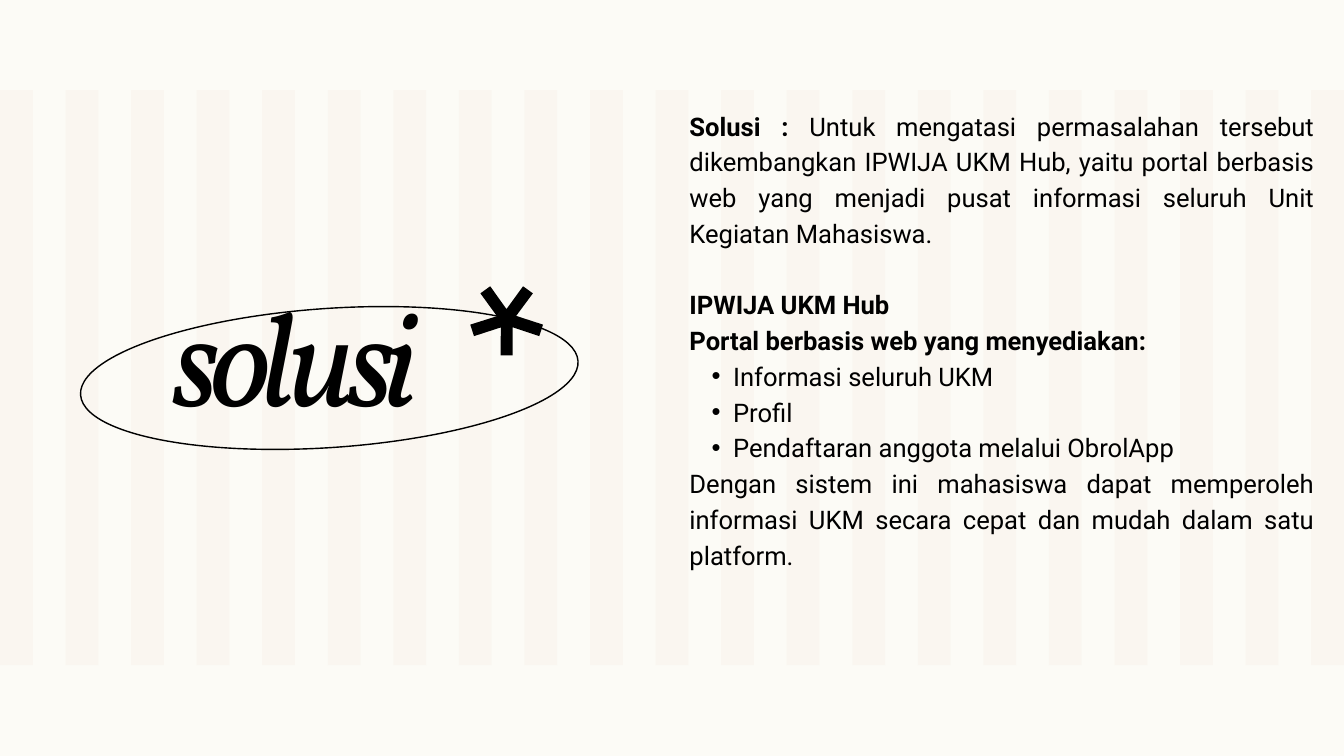
import math

import pptx
import pptx.dml.color
import pptx.enum.shapes
import pptx.enum.text
import pptx.util
from lxml import etree
from pptx.oxml.ns import qn

CREAM = pptx.dml.color.RGBColor(0xFC, 0xFB, 0xF6)
STRIPE = pptx.dml.color.RGBColor(0xF8, 0xF2, 0xE9)
BLACK = pptx.dml.color.RGBColor(0, 0, 0)
SHAPES = pptx.enum.shapes.MSO_SHAPE
Inches = pptx.util.Inches
Pt = pptx.util.Pt

presentation = pptx.Presentation()
presentation.slide_width = Inches(20)
presentation.slide_height = Inches(11.25)
slide = presentation.slides.add_slide(presentation.slide_layouts[6])
slide.background.fill.solid()
slide.background.fill.fore_color.rgb = CREAM


def add_text_frame(left, top, width, height):
    box = slide.shapes.add_textbox(Inches(left), Inches(top), Inches(width), Inches(height))
    frame = box.text_frame
    frame.word_wrap = True
    frame.margin_left = frame.margin_right = frame.margin_top = frame.margin_bottom = 0
    return frame


# Striped band: 41 equal columns, every other one tinted
COLUMNS = 41
column = presentation.slide_width / COLUMNS
for index in range(0, COLUMNS, 2):
    stripe = slide.shapes.add_shape(
        SHAPES.RECTANGLE, round(index * column), Inches(1.34), round(column), Inches(8.56))
    stripe.shadow.inherit = False
    stripe.line.fill.background()
    stripe.fill.solid()
    stripe.fill.fore_color.rgb = STRIPE
    color = stripe.fill._xPr.find(qn("a:solidFill"))[0]
    etree.SubElement(color, qn("a:alpha"), val="46000")

# Title
paragraph = add_text_frame(2.56, 4.86, 9.9, 1.77).paragraphs[0]
paragraph.line_spacing = Pt(113.7)
run = paragraph.add_run()
run.text = "solusi"
run.font.name = "Vollkorn"
run.font.size = Pt(142.1)
run.font.italic = True
run.font.color.rgb = BLACK
run.font._element.set("spc", "-910")

# Tilted ring around the title
ring = slide.shapes.add_shape(
    SHAPES.OVAL, Inches(1.19), Inches(4.59), Inches(7.42), Inches(2.07))
ring.rotation = 356.1
ring.shadow.inherit = False
ring.fill.background()
ring.line.color.rgb = BLACK
ring.line.width = Pt(1.5)

# Five-armed asterisk: two outer corners and one inner notch per arm
CENTER_X, CENTER_Y = 7.54, 4.75
points = []
for arm in range(5):
    angle = math.radians(72 * arm)
    for x, y in ((-0.09, 0.54), (0.09, 0.54), (0.09, 0.12)):
        points.append((
            Inches(CENTER_X + x * math.cos(angle) + y * math.sin(angle)),
            Inches(CENTER_Y - x * math.sin(angle) + y * math.cos(angle))))
builder = slide.shapes.build_freeform(*points[0])
builder.add_line_segments(points[1:], close=True)
asterisk = builder.convert_to_shape()
asterisk.shadow.inherit = False
asterisk.fill.solid()
asterisk.fill.fore_color.rgb = BLACK
asterisk.line.fill.background()

# Body text: (bold part, regular part, bulleted, space before)
LINE = Pt(38.3)
PARAGRAPHS = [
    ("Solusi : ", "Untuk mengatasi permasalahan tersebut dikembangkan IPWIJA UKM Hub, "
     "yaitu portal berbasis web yang menjadi pusat informasi seluruh Unit Kegiatan "
     "Mahasiswa.", False, 0),
    ("IPWIJA UKM Hub", "", False, LINE),
    ("Portal berbasis web yang menyediakan:", "", False, 0),
    ("", "Informasi seluruh UKM", True, 0),
    ("", "Profil", True, 0),
    ("", "Pendaftaran anggota melalui ObrolApp", True, 0),
    ("", "Dengan sistem ini mahasiswa dapat memperoleh informasi UKM secara cepat dan "
     "mudah dalam satu platform.", False, 0),
]
frame = add_text_frame(10.26, 1.57, 9.29, 7.97)
for index, (bold, regular, bulleted, space) in enumerate(PARAGRAPHS):
    paragraph = frame.add_paragraph() if index else frame.paragraphs[0]
    paragraph.alignment = pptx.enum.text.PP_ALIGN.JUSTIFY
    paragraph.line_spacing = LINE
    if space:
        paragraph.space_before = space
    if bulleted:
        properties = paragraph._p.get_or_add_pPr()
        properties.set("marL", str(Inches(0.65)))
        properties.set("indent", str(Inches(-0.32)))
        etree.SubElement(properties, qn("a:buFont"), typeface="Arial")
        etree.SubElement(properties, qn("a:buChar"), char="•")
    paragraph.font.name = "Roboto"
    paragraph.font.size = Pt(27.4)
    paragraph.font.color.rgb = BLACK
    for text, is_bold in ((bold, True), (regular, False)):
        if text:
            run = paragraph.add_run()
            run.text = text
            run.font.bold = is_bold

presentation.save("out.pptx")
